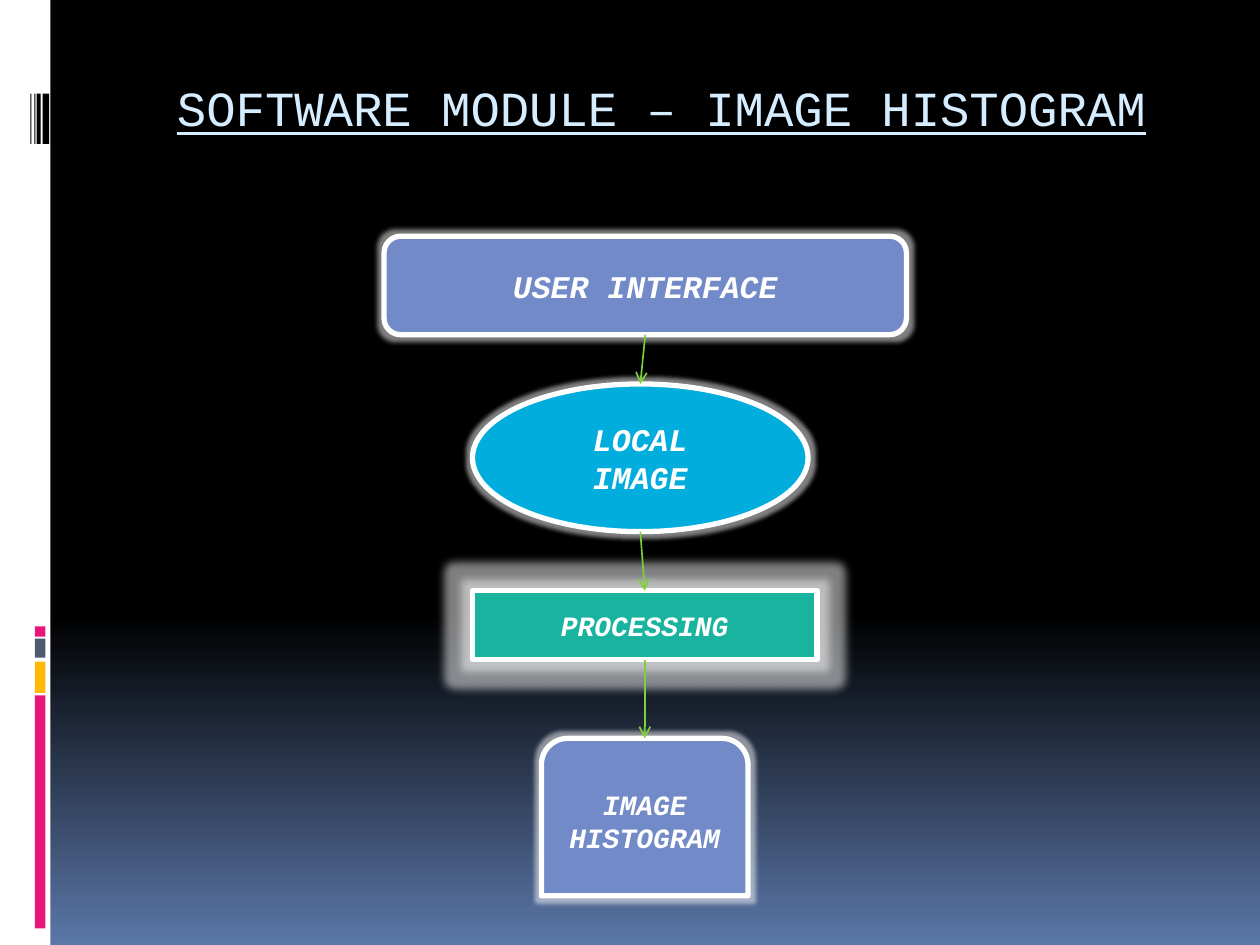
import copy

import pptx
import pptx.dml.color
import pptx.enum.shapes
import pptx.enum.text
import pptx.oxml.ns
import pptx.oxml.xmlchemy
import pptx.util
from lxml import etree

Pt = pptx.util.Pt
SHAPE = pptx.enum.shapes.MSO_SHAPE
ANCHOR = pptx.enum.text.MSO_ANCHOR
qn = pptx.oxml.ns.qn

# Side stripe details: (left, top, width, height, colour)
ACCENT_BLOCKS = [
    (20, 397.4, 6, 133.2, "EA157A"),
    (20, 378, 6, 18, "FEB80A"),
    (20, 365, 6, 10.8, "4E5B6F"),
    (20, 358, 6, 5.8, "EA157A"),
]
BARCODE = [(24.4, 3.7), (21, 2.2), (19.6, 0.7), (17.3, 0.7)]  # (left, width)

# Flow steps: (preset, left, top, width, height, fill, lines, size, glow radius)
STEPS = [
    (SHAPE.ROUNDED_RECTANGLE, 219.5, 135, 298.5, 56.2, "738AC8",
     ["USER INTERFACE"], 18, 5),
    (SHAPE.OVAL, 270, 219.4, 191.8, 84.4, "00ADDC",
     ["LOCAL", "IMAGE"], 18, 5),
    (SHAPE.RECTANGLE, 270, 337.5, 196.9, 39.4, "1AB39F",
     ["PROCESSING"], 16, 10),
    (SHAPE.ROUND_2_SAME_RECTANGLE, 309.4, 421.9, 118.1, 90, "738AC8",
     ["IMAGE", "HISTOGRAM"], 16, 5),
]


def color(value):
    """Return an RGB colour from a hex string."""
    return pptx.dml.color.RGBColor.from_string(value)


def set_background(slide, stops):
    """Fill the background with a downward gradient of (position, colour)."""
    fill = slide.background.fill
    fill.gradient()
    fill.gradient_angle = 270
    stop_list = next(slide.element.iter(qn("a:gsLst")))
    while len(stop_list) < len(stops):
        stop_list.append(copy.deepcopy(stop_list[0]))
    for stop, (position, value) in zip(fill.gradient_stops, stops):
        stop.color.rgb = color(value)
        stop.position = position


def write_text(shape, lines, size=18, value="FFFFFF", bold=False,
               italic=False, underline=False, anchor=ANCHOR.MIDDLE):
    """Write centred lines, one paragraph each, into a shape."""
    frame = shape.text_frame
    frame.word_wrap = True
    frame.vertical_anchor = anchor
    frame.text = "\n".join(lines)
    for paragraph in frame.paragraphs:
        paragraph.alignment = pptx.enum.text.PP_ALIGN.CENTER
        font = paragraph.runs[0].font
        font.name = "Courier New"
        font.size = Pt(size)
        font.color.rgb = color(value)
        font.bold = bold
        font.italic = italic
        font.underline = underline


def add_block(slide, preset, left, top, width, height, fill):
    """Add a flat filled shape without outline."""
    shape = slide.shapes.add_shape(
        preset, Pt(left), Pt(top), Pt(width), Pt(height))
    shape.shadow.inherit = False
    shape.fill.solid()
    shape.fill.fore_color.rgb = color(fill)
    shape.line.fill.background()
    return shape


def add_glow(shape, radius, value="FFFFFF", alpha=50):
    """Put a soft glow around a shape."""
    effects = shape.element.spPr.find(qn("a:effectLst"))
    glow = etree.SubElement(effects, qn("a:glow"), rad=str(Pt(radius)))
    tint = etree.SubElement(glow, qn("a:srgbClr"), val=value)
    etree.SubElement(tint, qn("a:alpha"), val=str(alpha * 1000))


def add_step(slide, preset, left, top, width, height, fill, lines, size, glow):
    """Add one outlined, glowing step of the flow."""
    shape = add_block(slide, preset, left, top, width, height, fill)
    shape.line.color.rgb = color("FFFFFF")
    shape.line.width = Pt(3)
    add_glow(shape, glow)
    write_text(shape, lines, size=size, bold=True, italic=True)
    return shape


def add_arrow(slide, upper, lower):
    """Link the bottom centre of one step to the top centre of the next."""
    arrow = slide.shapes.add_connector(
        pptx.enum.shapes.MSO_CONNECTOR.STRAIGHT,
        upper.left + upper.width // 2, upper.top + upper.height,
        lower.left + lower.width // 2, lower.top)
    arrow.line.color.rgb = color("7FD13B")
    arrow.line.width = Pt(0.94)
    line = arrow.line._get_or_add_ln()
    etree.SubElement(line, qn("a:tailEnd"), type="arrow")
    etree.SubElement(arrow.element.spPr, qn("a:effectLst"))


def add_side_stripe(slide):
    """Add the white stripe with its colour blocks and barcode."""
    add_block(slide, SHAPE.RECTANGLE, 0, 0, 28.8, 540, "FFFFFF")
    for left, top, width, height, fill in ACCENT_BLOCKS:
        add_block(slide, SHAPE.RECTANGLE, left, top, width, height, fill)
    for left, width in BARCODE:
        add_block(slide, SHAPE.RECTANGLE, left, 53.5, width, 28.8, "000000")


def main():
    """Build and save the slide."""
    presentation = pptx.Presentation()
    presentation.slide_width = Pt(720)
    presentation.slide_height = Pt(540)
    slide = presentation.slides.add_slide(presentation.slide_layouts[6])
    set_background(slide, [(0, "000000"), (0.65, "000000"), (1, "5B77A8")])
    add_side_stripe(slide)
    title = slide.shapes.add_textbox(Pt(72), Pt(40.5), Pt(612), Pt(72))
    write_text(title, ["SOFTWARE MODULE – IMAGE HISTOGRAM"], size=28,
               value="D6ECFF", underline=True, anchor=ANCHOR.TOP)
    steps = [add_step(slide, *step) for step in STEPS]
    for upper, lower in zip(steps, steps[1:]):
        add_arrow(slide, upper, lower)
    presentation.save("out.pptx")


main()
